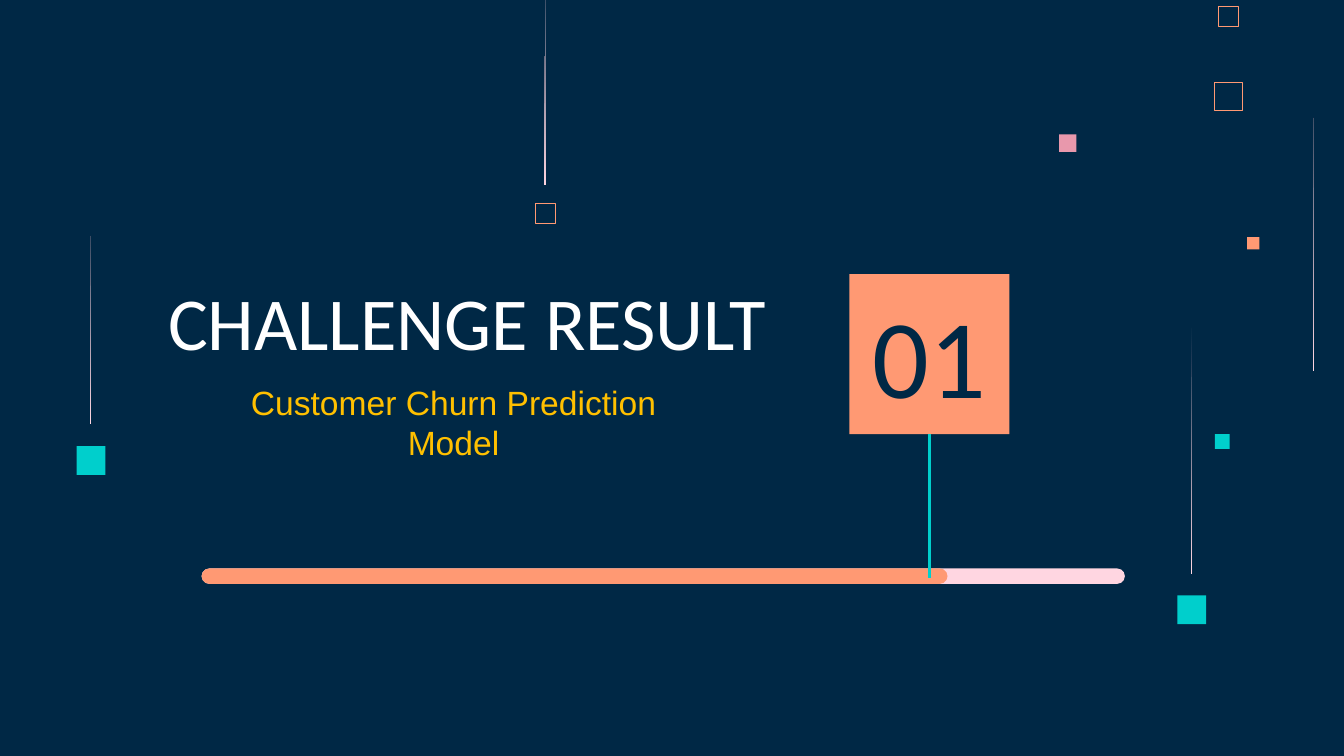
"""Builds a section-opener slide with a progress bar and falling squares."""
from dataclasses import dataclass
from typing import Optional

from lxml import etree
from pptx import Presentation
from pptx.dml.color import RGBColor
from pptx.enum.shapes import MSO_CONNECTOR, MSO_SHAPE
from pptx.enum.text import MSO_ANCHOR, MSO_AUTO_SIZE, PP_ALIGN
from pptx.oxml.ns import qn
from pptx.shapes.autoshape import Shape
from pptx.slide import Slide
from pptx.util import Inches, Pt

RECTANGLE = MSO_SHAPE.RECTANGLE
ROUNDED = MSO_SHAPE.ROUNDED_RECTANGLE
STRAIGHT = MSO_CONNECTOR.STRAIGHT
TOP, MIDDLE, BOTTOM = MSO_ANCHOR.TOP, MSO_ANCHOR.MIDDLE, MSO_ANCHOR.BOTTOM
CENTER = PP_ALIGN.CENTER
NO_AUTOFIT = MSO_AUTO_SIZE.NONE

COLUMNS, ROWS = 100, 56.25
CELL = Inches(0.1)
STREAK_WIDTH = 0.1
DOWNWARD = 270


@dataclass(frozen=True)
class Theme:
    """Colours, fonts and type sizes of the slide."""
    navy: str = "002845"
    coral: str = "FF9973"
    teal: str = "00CFCC"
    rose: str = "E898AC"
    blush: str = "FFD6E1"
    white: str = "FFFFFF"
    amber: str = "FFC000"
    heading_font: str = "Calibri"
    body_font: str = "Arial"
    title_size: float = 40
    subtitle_size: float = 18
    number_size: float = 60


@dataclass(frozen=True)
class Box:
    """A rectangle in grid columns and rows."""
    column: float
    row: float
    width: float
    height: float

    def lengths(self) -> tuple[int, ...]:
        """Return left, top, width and height in slide units."""
        return tuple(cells(n) for n in (self.column, self.row, self.width, self.height))


@dataclass(frozen=True)
class Square:
    """A decorative square, filled or outlined."""
    column: float
    row: float
    side: float
    color: str
    outline: Optional[float] = None


@dataclass(frozen=True)
class Streak:
    """A thin vertical trail that brightens downwards."""
    column: float
    row: float
    length: float


@dataclass(frozen=True)
class TextStyle:
    """Font and vertical anchor of a text."""
    font: str
    size: float
    color: str
    anchor: MSO_ANCHOR


THEME = Theme()
SQUARES = (
    Square(78.8, 10, 1.3, THEME.rose),
    Square(90.4, 32.3, 1.1, THEME.teal),
    Square(90.35, 6.1, 2.1, THEME.coral, 0.45),
    Square(90.65, 0.45, 1.5, THEME.coral, 0.32),
    Square(92.8, 17.65, 0.9, THEME.coral),
    Square(39.85, 15.1, 1.5, THEME.coral, 0.32),
    Square(87.6, 44.3, 2.15, THEME.teal),
    Square(5.7, 33.2, 2.15, THEME.teal),
)
STREAKS = (
    Streak(40.5, -4.8, 18.55),
    Streak(97.7, 0, 27.6),
    Streak(88.6, 23.1, 19.6),
    Streak(6.7, 11.9, 19.65),
)
BARS = (
    (Box(15, 42.3, 68.7, 1.15), THEME.blush),
    (Box(15, 42.3, 55.5, 1.15), THEME.coral),
)
TITLE_BOX = Box(6, 19, 57.5, 9.2)
SUBTITLE_BOX = Box(16.8, 27.4, 33.9, 11.5)
TILE_BOX = Box(63.2, 20.4, 11.9, 11.9)
NUMBER_BOX = Box(63.8, 23.2, 10.7, 6.3)
STEM_COLUMN, STEM_TOP, STEM_END = 69.15, 32.3, 43
TITLE_STYLE = TextStyle(THEME.heading_font, THEME.title_size, THEME.white, BOTTOM)
SUBTITLE_STYLE = TextStyle(THEME.body_font, THEME.subtitle_size, THEME.amber, TOP)
NUMBER_STYLE = TextStyle(THEME.heading_font, THEME.number_size, THEME.navy, MIDDLE)


def cells(count: float) -> int:
    """Convert grid cells to slide units."""
    return round(count * CELL)


def rgb(color: str) -> RGBColor:
    """Convert a hex string to a colour."""
    return RGBColor.from_string(color)


def draw_block(slide: Slide, box: Box, color: str, outline: Optional[float] = None,
               kind: MSO_SHAPE = RECTANGLE) -> Shape:
    """Draw a filled or outlined preset shape."""
    shape = slide.shapes.add_shape(kind, *box.lengths())
    shape.shadow.inherit = False
    if outline is None:
        shape.fill.solid()
        shape.fill.fore_color.rgb = rgb(color)
        shape.line.fill.background()
    else:
        shape.fill.background()
        shape.line.color.rgb = rgb(color)
        shape.line.width = Pt(outline)
    return shape


def draw_streak(slide: Slide, streak: Streak) -> None:
    """Draw a tapered trail fading out of the background."""
    right, bottom = streak.column + STREAK_WIDTH, streak.row + streak.length
    builder = slide.shapes.build_freeform(cells(right), cells(streak.row))
    builder.add_line_segments(
        [(cells(streak.column), cells(bottom)), (cells(right), cells(bottom))])
    shape = builder.convert_to_shape()
    shape.shadow.inherit = False
    shape.line.fill.background()
    shape.fill.gradient()
    shape.fill.gradient_angle = DOWNWARD
    for stop, color in zip(shape.fill.gradient_stops, (THEME.navy, THEME.blush)):
        stop.color.rgb = rgb(color)


def draw_stem(slide: Slide) -> None:
    """Draw the line that ties the number tile to the bar."""
    column = cells(STEM_COLUMN)
    stem = slide.shapes.add_connector(STRAIGHT, column, cells(STEM_TOP), column, cells(STEM_END))
    stem.line.color.rgb = rgb(THEME.teal)
    stem.line.width = Pt(1.5)
    etree.SubElement(stem._element.spPr, qn("a:effectLst"))


def write_text(shape: Shape, box: Box, text: str, style: TextStyle) -> None:
    """Place a text holder and write one centred run in it."""
    shape.left, shape.top, shape.width, shape.height = box.lengths()
    frame = shape.text_frame
    frame.word_wrap = True
    frame.auto_size = NO_AUTOFIT
    frame.vertical_anchor = style.anchor
    frame.margin_left = frame.margin_right = frame.margin_top = frame.margin_bottom = CELL
    paragraph = frame.paragraphs[0]
    paragraph.alignment = CENTER
    paragraph.space_before = Pt(0)
    run = paragraph.add_run()
    run.text = text
    run.font.name = style.font
    run.font.size = Pt(style.size)
    run.font.color.rgb = rgb(style.color)


def main() -> None:
    """Build and save the presentation."""
    presentation = Presentation()
    presentation.slide_width, presentation.slide_height = cells(COLUMNS), cells(ROWS)
    slide = presentation.slides.add_slide(presentation.slide_layouts[0])
    slide.background.fill.solid()
    slide.background.fill.fore_color.rgb = rgb(THEME.navy)

    for square in SQUARES:
        box = Box(square.column, square.row, square.side, square.side)
        draw_block(slide, box, square.color, square.outline)
    for streak in STREAKS:
        draw_streak(slide, streak)

    write_text(slide.shapes.title, TITLE_BOX, "CHALLENGE RESULT", TITLE_STYLE)
    write_text(slide.placeholders[1], SUBTITLE_BOX, "Customer Churn Prediction Model",
               SUBTITLE_STYLE)
    draw_block(slide, TILE_BOX, THEME.coral)
    number = slide.shapes.add_textbox(*NUMBER_BOX.lengths())
    write_text(number, NUMBER_BOX, "01", NUMBER_STYLE)

    for box, color in BARS:
        draw_block(slide, box, color, kind=ROUNDED).adjustments[0] = 0.5
    draw_stem(slide)
    presentation.save("out.pptx")


if __name__ == "__main__":
    main()
